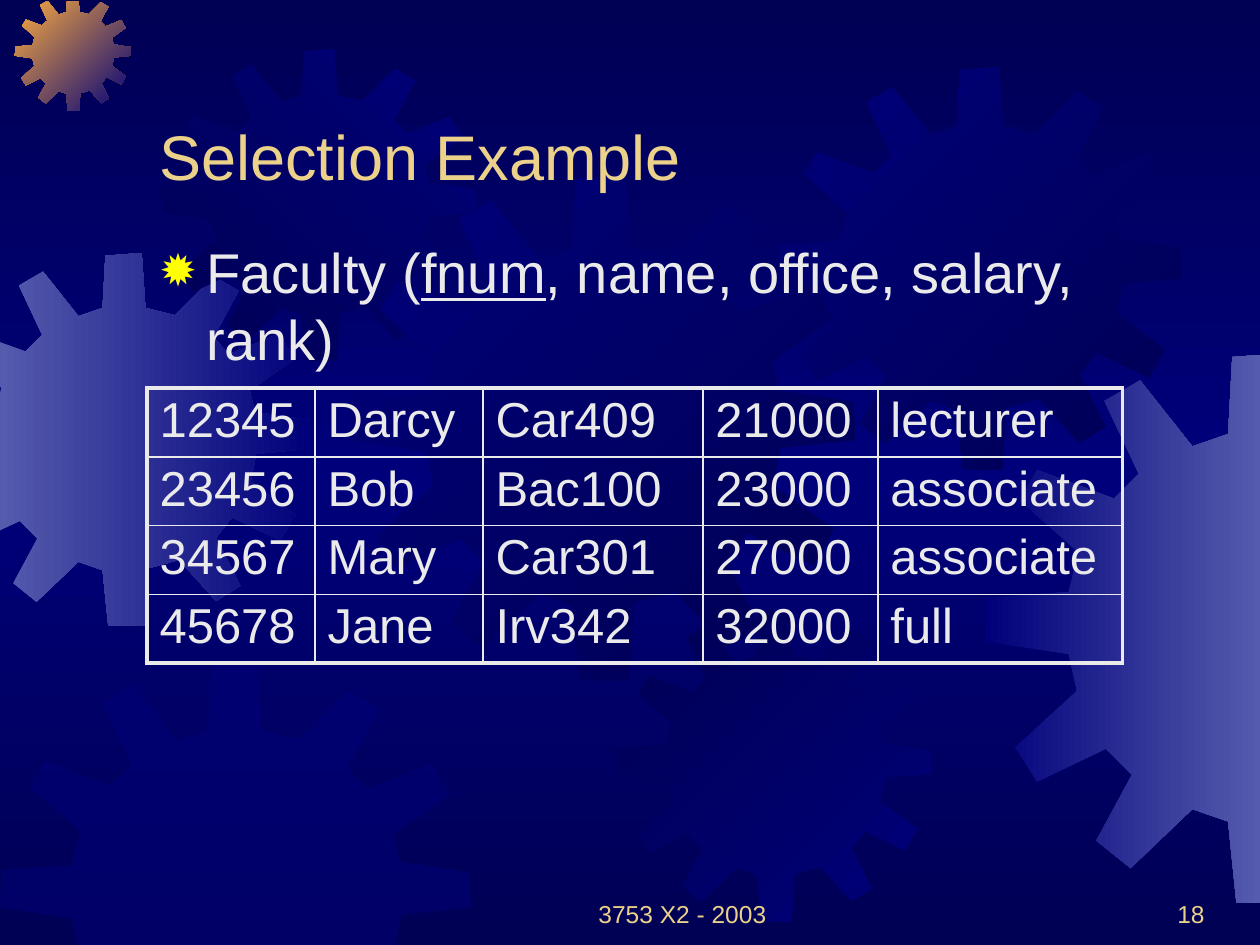
from copy import deepcopy
from dataclasses import dataclass
from typing import NamedTuple

from lxml import etree
from pptx import Presentation, util as u
from pptx.dml.color import RGBColor
from pptx.enum import text as t
from pptx.oxml.ns import qn

PX = 914400 // 126  # EMU in one px
WIDTH, HEIGHT = 1260, 945


@dataclass(frozen=True)
class Theme:
    font: str = "Arial"
    dark: str = "000054"
    blue: str = "00007A"
    pale: str = "555BAD"
    orange: str = "FCAB40"
    gold: str = "EBD189"
    light: str = "EAEAEA"
    bullet: str = "FFFF00"
    title: int = 36
    body: int = 32
    cell: int = 28
    footer: int = 14
    inner_rule: float = 1
    outer_rule: float = 2.25


THEME = Theme()


class Box(NamedTuple):
    left: int
    top: int
    width: int
    height: int


class Gear(NamedTuple):
    left: int
    top: int
    size: int
    colors: tuple[str, ...]
    angle: int = 0
    opacity: int = 100


class Span(NamedTuple):
    text: str
    underline: bool = False


GEAR_UNITS = 401
GEAR_OUTLINE = [
    (255, 67), (223, 59), (219, 0), (180, 3), (177, 59), (151, 68),
    (113, 20), (87, 35), (112, 88), (94, 106), (38, 85), (25, 107),
    (68, 145), (61, 174), (1, 178), (0, 210), (61, 219), (67, 246),
    (22, 287), (38, 312), (88, 288), (107, 307), (81, 355), (106, 375),
    (151, 332), (177, 341), (183, 400), (222, 401), (226, 339), (259, 330),
    (299, 374), (325, 358), (299, 306), (316, 284), (368, 309), (384, 281),
    (336, 246), (342, 216), (401, 210), (400, 180), (341, 171), (335, 148),
    (383, 114), (367, 87), (313, 109), (296, 91), (323, 41), (297, 25),
]
GEARS = [
    Gear(-62, 253, 373, (THEME.pale, THEME.blue)),
    Gear(15, -5, 116, (THEME.orange, THEME.blue), 45),
    Gear(164, 49, 312, (THEME.dark, THEME.blue), 315),
    Gear(349, 175, 506, (THEME.blue, THEME.dark), 45),
    Gear(0, 661, 471, (THEME.blue,), opacity=50),
    Gear(619, 610, 312, (THEME.dark, THEME.blue), 45),
    Gear(779, 67, 403, (THEME.blue, THEME.dark), 45),
    Gear(985, 353, 551, (THEME.blue, THEME.pale)),
]

TABLE_BOX = Box(147, 388, 976, 268)
COLUMN_WIDTHS = [168, 168, 220, 175, 245]
FACULTY = [
    ("12345", "Darcy", "Car409", "21000", "lecturer"),
    ("23456", "Bob", "Bac100", "23000", "associate"),
    ("34567", "Mary", "Car301", "27000", "associate"),
    ("45678", "Jane", "Irv342", "32000", "full"),
]


def emu(px: float) -> int:
    return round(px * PX)


def add_xml(parent, tag: str, **attributes):
    return etree.SubElement(parent, qn(tag), {k: str(v) for k, v in attributes.items()})


def write(frame, *spans: Span, size: int, color: str, align=t.PP_ALIGN.LEFT,
          anchor=t.MSO_ANCHOR.TOP, space_percent: int = 0, bullet: str = "") -> None:
    frame.word_wrap = True
    frame.vertical_anchor = anchor
    para = frame.paragraphs[0]
    para.alignment = align
    props = para._p.get_or_add_pPr()
    if space_percent:
        add_xml(add_xml(props, "a:spcBef"), "a:spcPct", val=space_percent * 1000)
    if bullet:
        props.set("marL", str(emu(47)))
        props.set("indent", str(emu(-47)))
        add_xml(add_xml(props, "a:buClr"), "a:srgbClr", val=THEME.bullet)
        add_xml(props, "a:buSzPct", val=80000)
        add_xml(props, "a:buFont", typeface=THEME.font)
        add_xml(props, "a:buChar", char=bullet)
    for span in spans:
        run = para.add_run()
        run.text = span.text
        run.font.name = THEME.font
        run.font.size = u.Pt(size)
        run.font.color.rgb = RGBColor.from_string(color)
        if span.underline:
            run.font.underline = True


def add_text(page, box: Box, *spans: Span, **style) -> None:
    shape = page.shapes.add_textbox(*map(emu, box))
    write(shape.text_frame, *spans, **style)


def paint_gradient(fill, colors: tuple[str, ...], angle: int) -> None:
    for stop, color in zip(fill.gradient_stops, colors):
        stop.color.rgb = RGBColor.from_string(color)
    fill.gradient_angle = -angle % 360


def paint_background(page) -> None:
    fill = page.background.fill
    fill.gradient()
    stops = next(page.element.iter(qn("a:gsLst")))
    middle = deepcopy(stops[0])
    middle.set("pos", "50000")
    stops.insert(1, middle)
    paint_gradient(fill, (THEME.dark, THEME.blue, THEME.dark), 90)


def clip(points: list, axis: int, limit: int, sign: int) -> list:
    """Keep the part of a polygon where sign * (coordinate - limit) >= 0."""
    kept = []
    for start, end in zip(points[-1:] + points[:-1], points):
        before, after = (sign * (p[axis] - limit) for p in (start, end))
        if (before >= 0) != (after >= 0):
            share = before / (before - after)
            kept.append(tuple(a + share * (b - a) for a, b in zip(start, end)))
        if after >= 0:
            kept.append(end)
    return kept


def add_gear(page, gear: Gear) -> None:
    scale = gear.size / GEAR_UNITS
    points = [(gear.left + x * scale, gear.top + y * scale) for x, y in GEAR_OUTLINE]
    for edge in ((0, 0, 1), (0, WIDTH, -1), (1, 2, 1), (1, HEIGHT, -1)):
        points = clip(points, *edge)
    corners = [(emu(x), emu(y)) for x, y in points]
    builder = page.shapes.build_freeform(*corners[0])
    builder.add_line_segments(corners[1:], close=True)
    shape = builder.convert_to_shape()
    shape.shadow.inherit = False
    shape.line.fill.background()
    if len(gear.colors) > 1:
        shape.fill.gradient()
        paint_gradient(shape.fill, gear.colors, gear.angle)
    else:
        shape.fill.solid()
        shape.fill.fore_color.rgb = RGBColor.from_string(gear.colors[0])
        color = next(shape.element.spPr.iter(qn("a:srgbClr")))
        add_xml(color, "a:alpha", val=gear.opacity * 1000)


def add_border(cell, side: str, weight: float) -> None:
    line = add_xml(cell._tc.get_or_add_tcPr(), f"a:ln{side}", w=u.Pt(weight))
    add_xml(add_xml(line, "a:solidFill"), "a:srgbClr", val=THEME.light)


def add_faculty_table(page) -> None:
    rows, columns = len(FACULTY), len(COLUMN_WIDTHS)
    table = page.shapes.add_table(rows, columns, *map(emu, TABLE_BOX)).table
    table.first_row = table.horz_banding = False
    for column, width in zip(table.columns, COLUMN_WIDTHS):
        column.width = emu(width)
    for r, record in enumerate(FACULTY):
        for c, value in enumerate(record):
            cell = table.cell(r, c)
            outer = {"L": c == 0, "R": c == columns - 1, "T": r == 0, "B": r == rows - 1}
            for side, is_outer in outer.items():
                add_border(cell, side, THEME.outer_rule if is_outer else THEME.inner_rule)
            cell.fill.background()
            cell.margin_top = cell.margin_bottom = emu(5)
            write(cell.text_frame, Span(value), size=THEME.cell, color=THEME.light,
                  space_percent=20)


def main() -> None:
    deck = Presentation()
    deck.slide_width, deck.slide_height = emu(WIDTH), emu(HEIGHT)
    page = deck.slides.add_slide(deck.slide_layouts[6])
    paint_background(page)
    for gear in GEARS:
        add_gear(page, gear)
    footer = dict(size=THEME.footer, color=THEME.gold, anchor=t.MSO_ANCHOR.BOTTOM)
    add_text(page, Box(483, 872, 399, 63), Span("3753 X2 - 2003"),
             align=t.PP_ALIGN.CENTER, **footer)
    add_text(page, Box(955, 872, 262, 63), Span("18"), align=t.PP_ALIGN.RIGHT, **footer)
    add_text(page, Box(147, 42, 1071, 157), Span("Selection Example"),
             size=THEME.title, color=THEME.gold, anchor=t.MSO_ANCHOR.BOTTOM)
    add_text(page, Box(147, 231, 1071, 567), Span("Faculty ("), Span("fnum", underline=True),
             Span(", name, office, salary, rank)"), size=THEME.body, color=THEME.light,
             space_percent=20, bullet="✹")
    add_faculty_table(page)
    deck.save("out.pptx")


if __name__ == "__main__":
    main()
